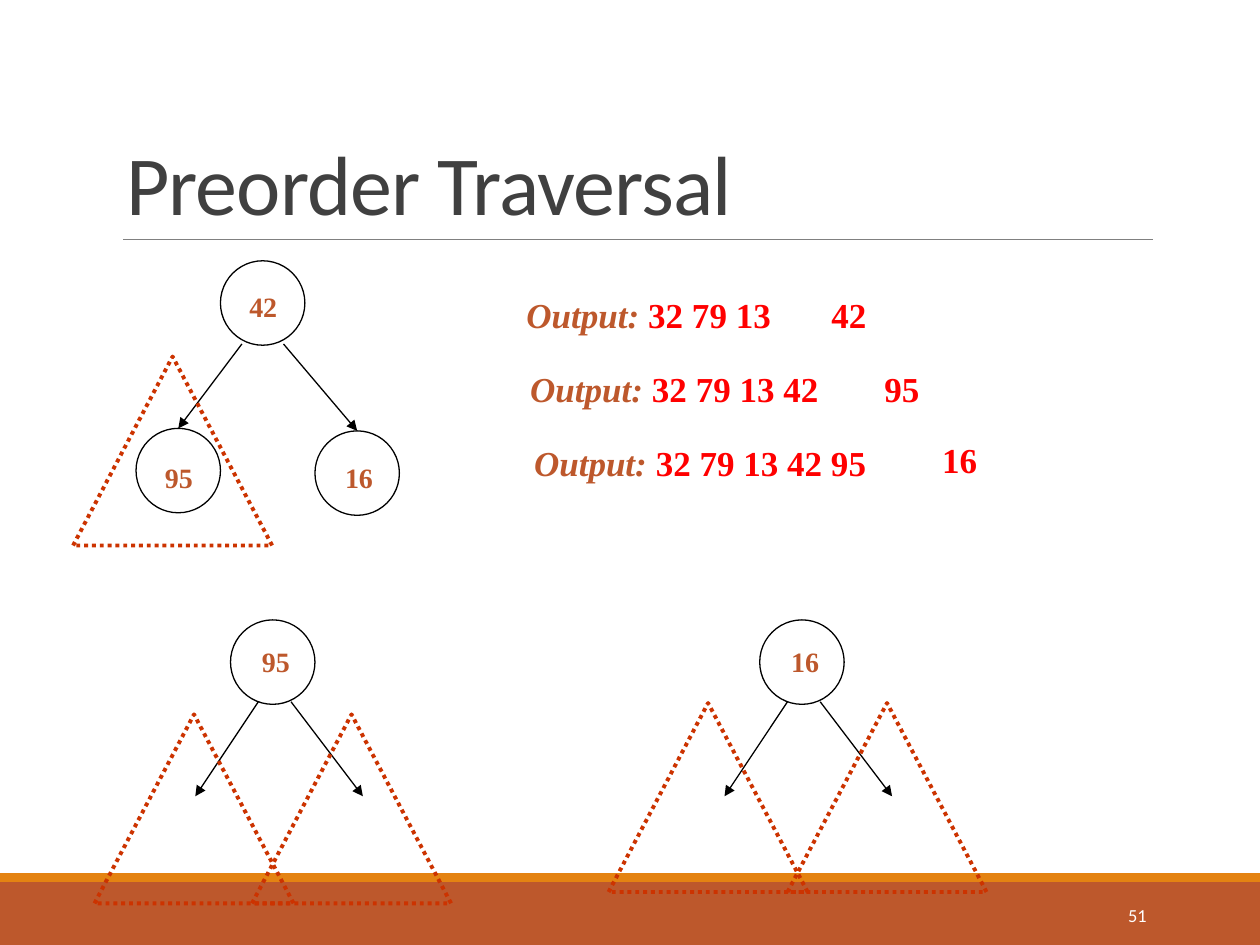
from lxml.etree import SubElement
from pptx import Presentation
from pptx.dml.color import RGBColor
from pptx.enum.dml import MSO_LINE
from pptx.enum.shapes import MSO_CONNECTOR, MSO_SHAPE
from pptx.enum.text import MSO_ANCHOR, PP_ALIGN
from pptx.oxml.ns import qn
from pptx.util import Inches, Pt

# Content
TITLE = "Preorder Traversal"
PAGE_NUMBER = "51"
# value, circle left and top, label offset from the circle
TREE = {
    "root": ("42", 1.75, 2.07, 0.13, 0.18),
    "left": ("95", 1.08, 3.4, 0.13, 0.2),
    "right": ("16", 2.5, 3.42, 0.14, 0.18),
}
TREE_ARROWS = [("left", 1.92), ("right", 2.25)]
SUBTREES = [("95", 1.83), ("16", 6.03)]
SUBTREE_TOP = 4.92
# arrow start and end, measured from the circle's left edge
SUBTREE_ARROWS = [(0.22, -0.28), (0.48, 1.05)]
TRIANGLES = [(0.58, 2.83), (0.75, 5.67), (2, 5.67), (4.83, 5.58), (6.25, 5.58)]
# visited so far, left, top, width; then next value, left, top
OUTPUTS = [
    ("32 79 13", 4.08, 2.25, 2.53, "42", 6.5, 2.25),
    ("32 79 13 42", 4.11, 2.83, 2.94, "95", 6.92, 2.83),
    ("32 79 13 42 95", 4.14, 3.42, 3.36, "16", 7.38, 3.4),
]
CIRCLE = 0.67
RUST, ORANGE, RED, BLACK = "BD582C", "E48312", "FF0000", "000000"
SERIF, SANS = "Times New Roman", "Calibri"

deck = Presentation()
deck.slide_width, deck.slide_height = Inches(10), Inches(7.5)
page = deck.slides.add_slide(deck.slide_layouts[5])


def color(value):
    return RGBColor.from_string(value)


def place(*lengths):
    return [Inches(length) for length in lengths]


def add_outline(kind, left, top, width, height, line, weight):
    shape = page.shapes.add_shape(kind, *place(left, top, width, height))
    shape.shadow.inherit = False
    shape.fill.background()
    shape.line.color.rgb = color(line)
    shape.line.width = Pt(weight)
    return shape


def add_bar(top, height, fill):
    bar = page.shapes.add_shape(MSO_SHAPE.RECTANGLE, *place(0, top, 10, height))
    bar.shadow.inherit = False
    bar.fill.solid()
    bar.fill.fore_color.rgb = color(fill)
    bar.line.fill.background()


def add_line(start, end, line=BLACK, weight=0.75, arrow=True):
    connector = page.shapes.add_connector(
        MSO_CONNECTOR.STRAIGHT, *place(*start, *end))
    connector.line.color.rgb = color(line)
    connector.line.width = Pt(weight)
    if arrow:
        SubElement(connector.line._get_or_add_ln(), qn("a:tailEnd"), type="triangle")
    SubElement(connector._element.spPr, qn("a:effectLst"))
    return connector


def add_text(spans, left, top, width, height, size, font=SERIF, bold=True):
    """Each span is (text, colour, italic)."""
    box = page.shapes.add_textbox(*place(left, top, width, height))
    frame = box.text_frame
    frame.word_wrap = True
    frame.margin_right = 0
    frame.vertical_anchor = MSO_ANCHOR.MIDDLE
    para = frame.paragraphs[0]
    para.font.name, para.font.size, para.font.bold = font, Pt(size), bold
    for text, shade, italic in spans:
        span = para.add_run()
        span.text = text
        span.font.color.rgb = color(shade)
        span.font.italic = italic
    return para


def add_node(value, left, top, label_x, label_y):
    circle = add_outline(MSO_SHAPE.OVAL, left, top, CIRCLE, CIRCLE, BLACK, 0.75)
    add_text([(value, RUST, False)], left + label_x, top + label_y, 0.42, 0.37, 16)
    return circle


# Footer bars, rule and page number
add_bar(7, 0.5, RUST)
add_bar(6.93, 0.07, ORANGE)
add_line((0.98, 1.9), (9.15, 1.9), "808080", 0.5, arrow=False)
number = add_text([(PAGE_NUMBER, "FFFFFF", False)], 8.12, 7.06, 0.98, 0.4,
                  10.5, SANS, False)
number.alignment = PP_ALIGN.RIGHT

# Title
title = page.shapes.title
title.left, title.top, title.width, title.height = place(0.9, 0.31, 8.25, 1.59)
title.text_frame.text = TITLE
title.text_frame.vertical_anchor = MSO_ANCHOR.BOTTOM
heading = title.text_frame.paragraphs[0]
heading.alignment = PP_ALIGN.LEFT
heading.line_spacing = 0.85
heading.font.name, heading.font.size = SANS, Pt(48)
heading.font.color.rgb = color("404040")
heading.runs[0].font._element.set("spc", "-50")

# Main tree
nodes = {name: add_node(*details) for name, details in TREE.items()}
for child, start_x in TREE_ARROWS:
    arrow = add_line((start_x, 2.73), (start_x, 3.4))
    arrow.end_connect(nodes[child], 0)

# Subtrees
for value, left in SUBTREES:
    add_node(value, left, SUBTREE_TOP, 0.15, 0.14)
    for start, end in SUBTREE_ARROWS:
        add_line((left + start, SUBTREE_TOP + 0.65), (left + end, SUBTREE_TOP + 1.4))

# Dotted triangles
for left, top in TRIANGLES:
    triangle = add_outline(MSO_SHAPE.FLOWCHART_EXTRACT, left, top, 1.58, 1.5,
                           "CC3300", 2.25)
    triangle.line.dash_style = MSO_LINE.ROUND_DOT

# Output lines
for visited, left, top, width, following, next_left, next_top in OUTPUTS:
    add_text([("Output: ", RUST, True), (visited, RED, False)],
             left, top, width, 0.5, 20)
    add_text([(following, RED, False)], next_left, next_top, 0.53, 0.5, 20)

deck.save("out.pptx")
